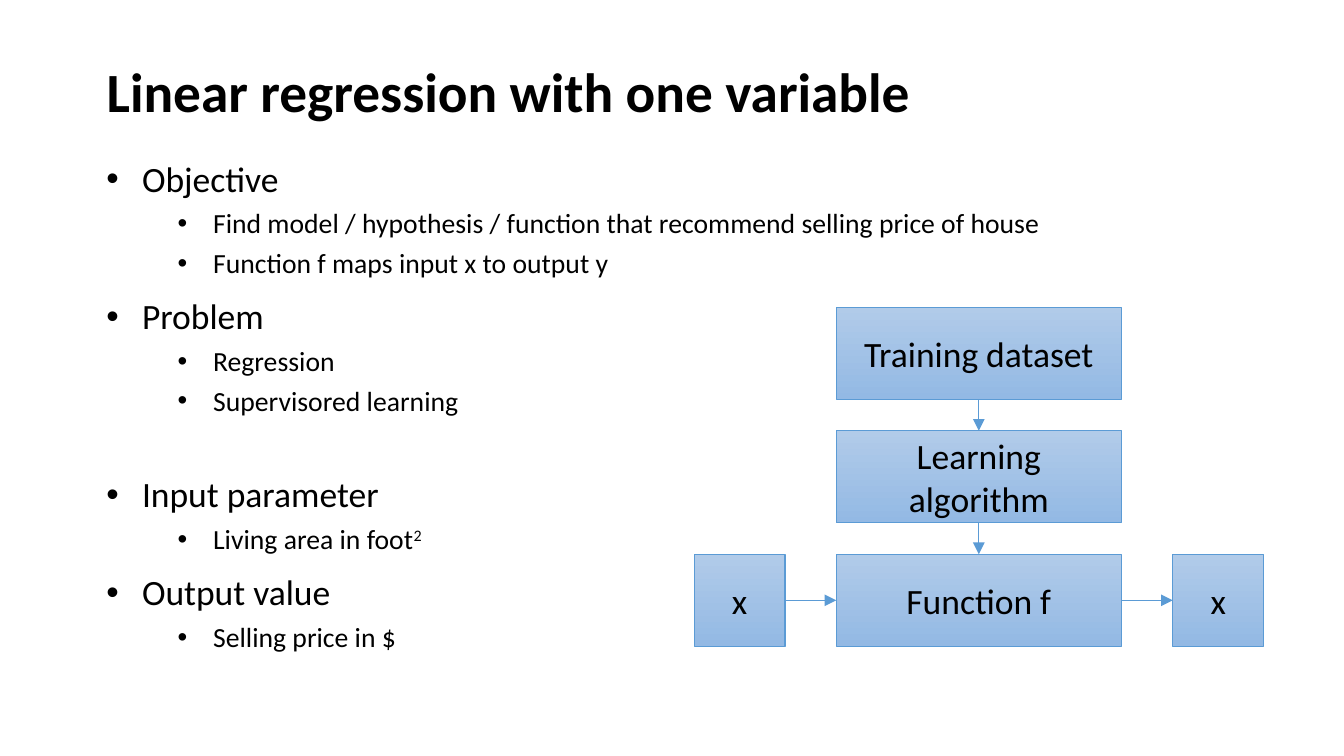
from lxml import etree
from pptx import Presentation
from pptx.dml.color import RGBColor
from pptx.enum import shapes, text
from pptx.oxml import ns
from pptx.util import Pt

BLACK, BLUE = "000000", "5B9BD5"
BOX_TOP_COLOR, BOX_BOTTOM_COLOR = "B1CBE9", "93B9E4"


def rgb(color):
    return RGBColor.from_string(color)


def style_paragraph(paragraph, size, align, bold=False):
    paragraph.alignment = align
    font = paragraph.font
    font.name, font.size, font.bold = "Calibri", Pt(size), bold
    font.color.rgb = rgb(BLACK)


prs = Presentation()
prs.slide_width, prs.slide_height = Pt(680.38), Pt(382.75)
slide = prs.slides.add_slide(prs.slide_layouts[5])
left, center = text.PP_ALIGN.LEFT, text.PP_ALIGN.CENTER

title = slide.shapes.title
title.left, title.top, title.width, title.height = Pt(46.8), Pt(20.4), Pt(586.8), Pt(54.7)
title.text_frame.text = "Linear regression with one variable"
title.text_frame.vertical_anchor = text.MSO_ANCHOR.MIDDLE
heading = title.text_frame.paragraphs[0]
style_paragraph(heading, 28, left, bold=True)
heading.line_spacing = 0.9

# Outline: topic, space before it, subpoints as (text, superscript)
topics = [
    ("Objective", 10, [
        ("Find model / hypothesis / function that recommend selling price of house", ""),
        ("Function f maps input x to output y", "")]),
    ("Problem", 10, [("Regression", ""), ("Supervisored learning", "")]),
    ("Input parameter", 30.5, [("Living area in foot", "2")]),
    ("Output value", 10, [("Selling price in $", "")]),
]
lines = []
for topic, gap, points in topics:
    lines.append((topic, "", 0, 18, gap, 18))
    lines += [(point, power, 1, 14, 5, 54) for point, power in points]

outline = slide.shapes.add_textbox(Pt(46.8), Pt(78.2), Pt(586.8), Pt(266.4)).text_frame
outline.word_wrap = True
for i, (words, power, level, size, gap, margin) in enumerate(lines):
    paragraph = outline.paragraphs[0] if i == 0 else outline.add_paragraph()
    paragraph.level = level
    paragraph.line_spacing, paragraph.space_before = 0.9, Pt(gap)
    paragraph.add_run().text = words
    if power:
        exponent = paragraph.add_run()
        exponent.text = power
        exponent.font._element.set("baseline", "30000")
    style_paragraph(paragraph, size, left)
    props = paragraph._p.get_or_add_pPr()
    props.set("marL", str(Pt(margin)))
    props.set("indent", str(-Pt(18)))
    bullet_font = etree.Element(ns.qn("a:buFont"), typeface="Arial")
    bullet = etree.Element(ns.qn("a:buChar"), char="•")
    default_run = props.find(ns.qn("a:defRPr"))
    default_run.addprevious(bullet_font)
    default_run.addprevious(bullet)

# Flow diagram: three stacked steps, with input and output beside the last
STEP_LEFT, STEP_TOP, STEP_PITCH = 423.4, 155.6, 62.5
STEP_WIDTH, BOX_HEIGHT, VALUE_WIDTH = 144.2, 46.7, 46
function_top = STEP_TOP + 2 * STEP_PITCH
boxes = [
    (words, STEP_LEFT, STEP_TOP + row * STEP_PITCH, STEP_WIDTH)
    for row, words in enumerate(["Training dataset", "Learning algorithm", "Function f"])
]
boxes += [("x", x, function_top, VALUE_WIDTH) for x in (351.4, 593.7)]

flow = []
for words, x, y, width in boxes:
    box = slide.shapes.add_shape(
        shapes.MSO_SHAPE.RECTANGLE, Pt(x), Pt(y), Pt(width), Pt(BOX_HEIGHT))
    box.shadow.inherit = False
    box.fill.gradient()
    box.fill.gradient_angle = 270
    for stop, color in zip(box.fill.gradient_stops, (BOX_TOP_COLOR, BOX_BOTTOM_COLOR)):
        stop.color.rgb = rgb(color)
    box.line.color.rgb, box.line.width = rgb(BLUE), Pt(0.5)
    box.text_frame.text = words
    box.text_frame.word_wrap = True
    box.text_frame.vertical_anchor = text.MSO_ANCHOR.MIDDLE
    style_paragraph(box.text_frame.paragraphs[0], 18, center)
    flow.append(box)

training, learning, function, input_x, output_x = flow
TOP, LEFT, BOTTOM, RIGHT = range(4)
for source, exit_side, target, entry_side in [
    (training, BOTTOM, learning, TOP),
    (learning, BOTTOM, function, TOP),
    (input_x, RIGHT, function, LEFT),
    (function, RIGHT, output_x, LEFT),
]:
    arrow = slide.shapes.add_connector(shapes.MSO_CONNECTOR.STRAIGHT, 0, 0, 0, 0)
    arrow.begin_connect(source, exit_side)
    arrow.end_connect(target, entry_side)
    arrow.line.color.rgb, arrow.line.width = rgb(BLUE), Pt(0.5)
    etree.SubElement(arrow.line._get_or_add_ln(), ns.qn("a:tailEnd"), type="triangle")
    etree.SubElement(arrow._element.spPr, ns.qn("a:effectLst"))

prs.save("out.pptx")
